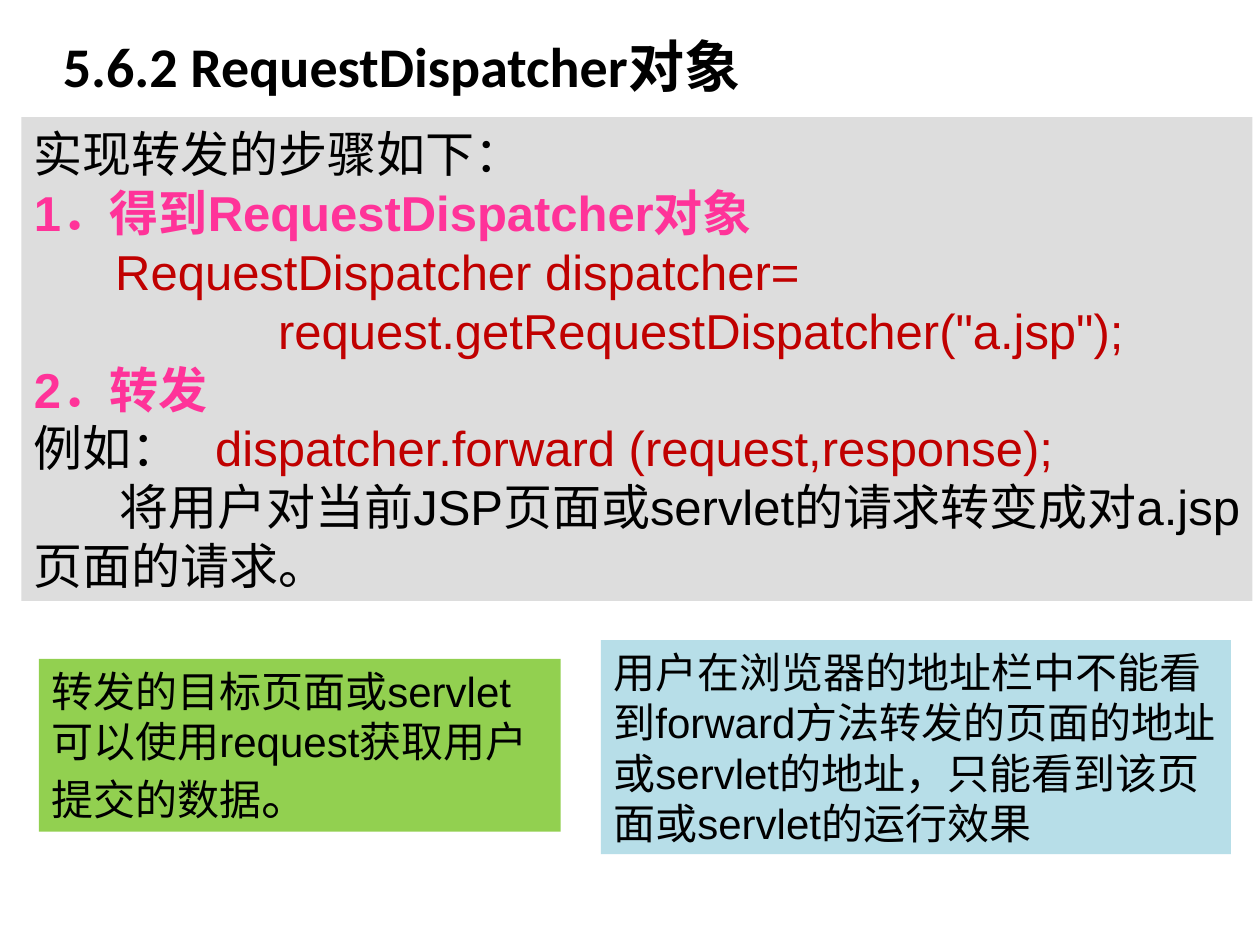
from dataclasses import dataclass

from lxml import etree
from pptx import Presentation
from pptx.dml.color import RGBColor
from pptx.enum.shapes import MSO_SHAPE
from pptx.enum.text import MSO_ANCHOR, MSO_AUTO_SIZE, PP_ALIGN
from pptx.oxml.ns import qn
from pptx.util import Inches, Pt

RECTANGLE = MSO_SHAPE.RECTANGLE
MIDDLE = MSO_ANCHOR.MIDDLE
FIT_SHAPE = MSO_AUTO_SIZE.SHAPE_TO_FIT_TEXT
LEFT, JUSTIFY = PP_ALIGN.LEFT, PP_ALIGN.JUSTIFY


@dataclass(frozen=True)
class Theme:
    """Colours, fonts and type sizes of the slide."""
    ink: RGBColor = RGBColor(0x00, 0x00, 0x00)
    step: RGBColor = RGBColor(0xFF, 0x33, 0x99)
    code: RGBColor = RGBColor(0xC0, 0x00, 0x00)
    steps_fill: RGBColor = RGBColor(0xDD, 0xDD, 0xDD)
    data_fill: RGBColor = RGBColor(0x92, 0xD0, 0x50)
    address_fill: RGBColor = RGBColor(0xB7, 0xDE, 0xE8)
    title_font: str = "Calibri"
    body_font: str = "Arial"
    title_size: Pt = Pt(32)
    body_size: Pt = Pt(28)
    note_size: Pt = Pt(24)


THEME = Theme()


def style_font(font, name, size, color, bold=False):
    """Set face, size, colour and weight of a font."""
    font.name, font.size, font.bold = name, size, bold
    font.color.rgb = color


def indent_first_line(paragraph, distance):
    """Indent the first line of a paragraph."""
    properties = paragraph._p.get_or_add_pPr()
    properties.set("marL", "0")
    properties.set("indent", str(distance))


def add_tab_stop(paragraph, distance):
    """Give a paragraph one left tab stop."""
    tabs = etree.SubElement(paragraph._p.get_or_add_pPr(), qn("a:tabLst"))
    etree.SubElement(tabs, qn("a:tab"), pos=str(distance), algn="l")


def add_title(slide, text):
    """Add the section heading."""
    heading = slide.shapes.add_textbox(
        Inches(0.2), Inches(0.2), Inches(6.41), Inches(0.63)).text_frame
    heading.word_wrap = True
    heading.vertical_anchor = MIDDLE
    line = heading.paragraphs[0]
    indent_first_line(line, Inches(0.2))
    line.text = text
    style_font(line.font, THEME.title_font, THEME.title_size, THEME.ink, True)


def add_panel(slide, left, top, width, height, fill):
    """Add a filled rectangle and return its text frame."""
    panel = slide.shapes.add_shape(
        RECTANGLE, Inches(left), Inches(top), Inches(width), Inches(height))
    panel.shadow.inherit = False
    panel.fill.solid()
    panel.fill.fore_color.rgb = fill
    panel.line.fill.background()
    frame = panel.text_frame
    frame.word_wrap = True
    frame.auto_size = FIT_SHAPE
    return frame


def add_steps(slide):
    """Add the panel listing the forwarding steps."""
    frame = add_panel(slide, 0.17, 0.93, 9.77, 3.84, THEME.steps_fill)
    ink, step, code = THEME.ink, THEME.step, THEME.code
    lines = [
        [("实现转发的步骤如下：", ink)],
        [("1．得到RequestDispatcher对象", step)],
        [("      RequestDispatcher dispatcher=", code)],
        [('                  request.getRequestDispatcher("a.jsp");', code)],
        [("2．转发", step)],
        [("例如：\t", ink), ("dispatcher.forward (request,response);", code)],
        [("将用户对当前JSP页面或servlet的请求转变成对a.jsp页面的请求。", ink)],
    ]
    for index, parts in enumerate(lines):
        line = frame.add_paragraph() if index else frame.paragraphs[0]
        line.alignment = JUSTIFY
        if len(parts) > 1:
            add_tab_stop(line, Inches(1.44))
        if index == len(lines) - 1:
            indent_first_line(line, Inches(0.68))
        color = parts[0][1]
        style_font(line.font, THEME.body_font, THEME.body_size, color, color == step)
        for text, part_color in parts:
            run = line.add_run()
            run.text = text
            if part_color != color:
                run.font.color.rgb = part_color


def add_note(slide, left, top, width, height, fill, text, ending=""):
    """Add a note panel, with an optional larger ending."""
    line = add_panel(slide, left, top, width, height, fill).paragraphs[0]
    line.alignment = LEFT
    style_font(line.font, THEME.body_font, THEME.note_size, THEME.ink)
    line.add_run().text = text
    if ending:
        mark = line.add_run()
        mark.text = ending
        mark.font.size = THEME.body_size


def main():
    """Build and save the slide."""
    deck = Presentation()
    deck.slide_width, deck.slide_height = Inches(10), Inches(7.5)
    slide = deck.slides.add_slide(deck.slide_layouts[6])
    add_title(slide, "5.6.2 RequestDispatcher对象")
    add_steps(slide)
    add_note(slide, 0.31, 5.23, 4.14, 1.37, THEME.data_fill,
             "转发的目标页面或servlet可以使用request获取用户提交的数据", "。")
    add_note(slide, 4.77, 5.08, 5, 1.7, THEME.address_fill,
             "用户在浏览器的地址栏中不能看到forward方法转发的页面的地址或servlet的地址，"
             "只能看到该页面或servlet的运行效果")
    deck.save("out.pptx")


if __name__ == "__main__":
    main()
